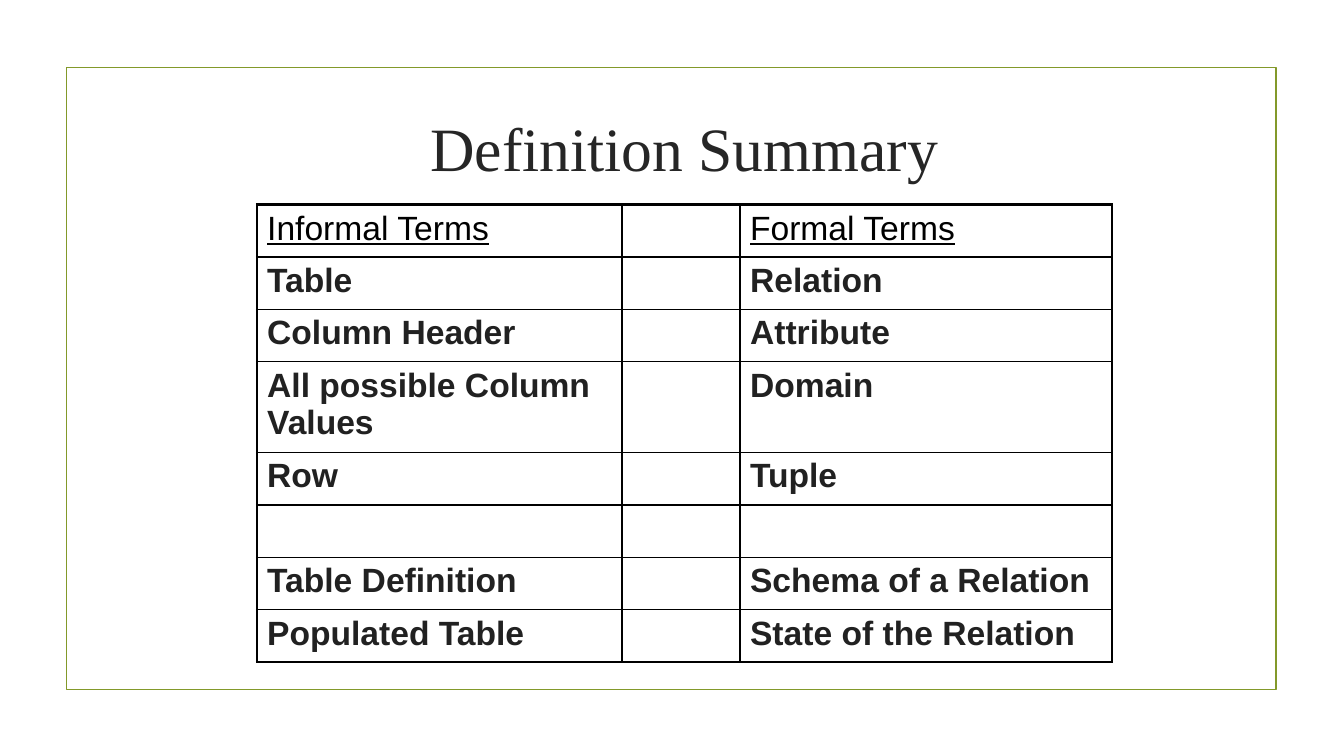
from lxml import etree
from pptx import Presentation
from pptx.dml.color import RGBColor
from pptx.enum.shapes import MSO_SHAPE
from pptx.enum.text import MSO_ANCHOR, PP_ALIGN
from pptx.oxml.ns import qn
from pptx.util import Inches, Pt

RECT = MSO_SHAPE.RECTANGLE
MIDDLE = MSO_ANCHOR.MIDDLE
LEFT, CENTER = PP_ALIGN.LEFT, PP_ALIGN.CENTER

COLORS = {"frame": "83992A", "title": "262626", "head": "000000",
          "body": "212121", "rule": "000000"}
THIN, THICK = 1, 2.25
COLS = [3.62, 1.17, 3.69]
ROW, TALL = 0.52, 0.88
TERMS = [
    ("Informal Terms", "Formal Terms"),
    ("Table", "Relation"),
    ("Column Header", "Attribute"),
    ("All possible Column Values", "Domain"),
    ("Row", "Tuple"),
    ("", ""),
    ("Table Definition", "Schema of a Relation"),
    ("Populated Table", "State of the Relation"),
]


def color(name):
    """Return the named colour."""
    return RGBColor.from_string(COLORS[name])


def write(frame, text, size=24, font="Arial", tint="body", bold=False,
          under=False, align=LEFT):
    """Put formatted text into a text frame."""
    para = frame.paragraphs[0]
    para.alignment = align
    run = para.add_run()
    run.text = text
    run.font.size = Pt(size)
    run.font.name = font
    run.font.bold = bold
    run.font.underline = under
    run.font.color.rgb = color(tint)


def edge(cell, widths):
    """Draw the left, right, top and bottom borders of a cell."""
    props = cell._tc.get_or_add_tcPr()
    for spot, (side, width) in enumerate(zip("LRTB", widths)):
        line = etree.Element(qn("a:ln" + side), w=str(Pt(width)))
        fill = etree.SubElement(line, qn("a:solidFill"))
        etree.SubElement(fill, qn("a:srgbClr"), val=COLORS["rule"])
        props.insert(spot, line)


def add_frame(slide, left, top, width, height):
    """Draw the outline around the slide content."""
    box = slide.shapes.add_shape(RECT, Inches(left), Inches(top),
                                 Inches(width), Inches(height))
    box.shadow.inherit = False
    box.fill.background()
    box.line.color.rgb = color("frame")
    box.line.width = Pt(1.25)


def add_title(slide, left, top, width, height):
    """Place the centred title."""
    box = slide.shapes.add_textbox(Inches(left), Inches(top),
                                   Inches(width), Inches(height))
    frame = box.text_frame
    frame.word_wrap = True
    frame.vertical_anchor = MIDDLE
    write(frame, "Definition Summary", size=44, font="Times New Roman",
          tint="title", align=CENTER)


def add_terms(slide, left, top, width, height):
    """Build the table of informal and formal terms."""
    last, end = len(TERMS) - 1, len(COLS) - 1
    table = slide.shapes.add_table(len(TERMS), len(COLS), Inches(left), Inches(top),
                                   Inches(width), Inches(height)).table
    table.first_row = table.horz_banding = False
    for col, size in zip(table.columns, COLS):
        col.width = Inches(size)
    for r, (plain, formal) in enumerate(TERMS):
        table.rows[r].height = Inches(TALL if r == 3 else ROW)
        for c, text in enumerate((plain, "", formal)):
            cell = table.cell(r, c)
            cell.fill.background()
            outer = (c == 0, c == end, r == 0, r == last)
            edge(cell, [THICK if out else THIN for out in outer])
            if text:
                head = r == 0
                write(cell.text_frame, text, tint="head" if head else "body",
                      bold=not head, under=head)


def main():
    """Build and save the slide."""
    deck = Presentation()
    deck.slide_width, deck.slide_height = Inches(13.33), Inches(7.5)
    slide = deck.slides.add_slide(deck.slide_layouts[6])
    add_frame(slide, 0.66, 0.67, 12, 6.17)
    add_title(slide, 1.54, 0.74, 10.5, 1.43)
    add_terms(slide, 2.55, 2.03, sum(COLS), ROW * 7 + TALL)
    deck.save("out.pptx")


if __name__ == "__main__":
    main()
